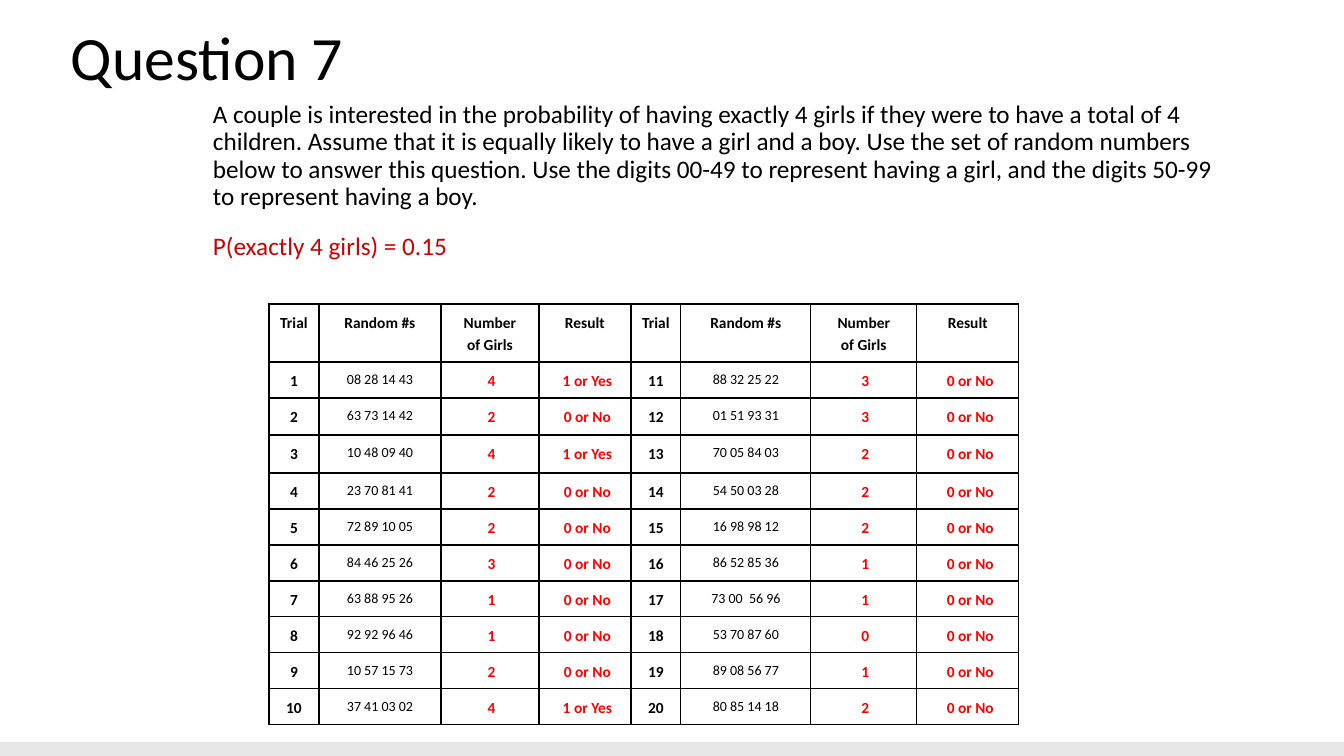
"""Build the Question 7 slide: simulated families of four children."""
from lxml.etree import SubElement
from pptx import Presentation
from pptx.dml.color import RGBColor
from pptx.enum.shapes import MSO_SHAPE
from pptx.enum.text import MSO_ANCHOR, PP_ALIGN
from pptx.oxml.ns import qn
from pptx.util import Pt

TITLE = "Question 7"
QUESTION = (
    "A couple is interested in the probability of having exactly 4 girls if they were "
    "to have a total of 4 children. Assume that it is equally likely to have a girl and "
    "a boy. Use the set of random numbers below to answer this question. Use the digits "
    "00-49 to represent having a girl, and the digits 50-99 to represent having a boy."
)
ANSWER = "P(exactly 4 girls) = 0.15"
HEADINGS = ["Trial", "Random #s", "Number\nof Girls", "Result"]
TRIALS = [
    ("08 28 14 43", 4), ("63 73 14 42", 2), ("10 48 09 40", 4), ("23 70 81 41", 2),
    ("72 89 10 05", 2), ("84 46 25 26", 3), ("63 88 95 26", 1), ("92 92 96 46", 1),
    ("10 57 15 73", 2), ("37 41 03 02", 4), ("88 32 25 22", 3), ("01 51 93 31", 3),
    ("70 05 84 03", 2), ("54 50 03 28", 2), ("16 98 98 12", 2), ("86 52 85 36", 1),
    ("73 00  56 96", 1), ("53 70 87 60", 0), ("89 08 56 77", 1), ("80 85 14 18", 2),
]
COLORS = {"ink": "000000", "answer": "CC0000", "result": "FF0000", "bar": "E7E6E6"}
FONT = "Calibri"
PX = 914400 / 100.8
SLIDE_W, SLIDE_H, BAR_H = 1344, 756, 14
TABLE_X, TABLE_Y = 269, 304
COL_W = [50, 122, 98, 92, 50, 130, 106, 102]
ROW_H = [58, 36, 37, 38] + [36] * 7
HALF = len(TRIALS) // 2
CELL_PAD = 7
COL_SHIFT = [0, 0, 3, 5]


def px(*lengths):
    return [round(n * PX) for n in lengths]


def write(tf, text, size=11, color="ink", bold=False, align=PP_ALIGN.LEFT,
          spacing=0.9, before=0, add=False):
    for i, line in enumerate(text.split("\n")):
        p = tf.add_paragraph() if add or i else tf.paragraphs[0]
        p.alignment, p.line_spacing, p.space_before = align, spacing, Pt(before)
        r = p.add_run()
        r.text = line
        r.font.name, r.font.size, r.font.bold = FONT, Pt(size), bold
        r.font.color.rgb = RGBColor.from_string(COLORS[color])


def text_box(s, x, y, w, h, anchor):
    tf = s.shapes.add_textbox(*px(x, y, w, h)).text_frame
    tf.word_wrap, tf.vertical_anchor = True, anchor
    tf.margin_left, tf.margin_top, tf.margin_right, tf.margin_bottom = px(10, 10, 10, 10)
    return tf


def add_borders(cell):
    tc_pr = cell._tc.get_or_add_tcPr()
    for side in "LRTB":
        ln = SubElement(tc_pr, qn(f"a:ln{side}"), w=str(Pt(1)))
        fill = SubElement(ln, qn("a:solidFill"))
        SubElement(fill, qn("a:srgbClr"), val=COLORS["ink"])


def trial_cells(n):
    digits, girls = TRIALS[n]
    return [str(n + 1), digits, str(girls), "1 or Yes" if girls == 4 else "0 or No"]


def add_trials(s):
    rows = [HEADINGS * 2] + [trial_cells(n) + trial_cells(n + HALF) for n in range(HALF)]
    box = px(TABLE_X, TABLE_Y, sum(COL_W), sum(ROW_H))
    table = s.shapes.add_table(len(rows), len(COL_W), *box).table
    table.first_row = table.horz_banding = False
    for column, w in zip(table.columns, px(*COL_W)):
        column.width = w
    for row, h in zip(table.rows, px(*ROW_H)):
        row.height = h
    for i, texts in enumerate(rows):
        for j, text in enumerate(texts):
            cell, kind = table.cell(i, j), j % len(HEADINGS)
            shift = COL_SHIFT[kind] if i else 0
            cell.margin_left, cell.margin_right = px(CELL_PAD + shift, CELL_PAD)
            cell.margin_top, cell.margin_bottom = px(CELL_PAD, CELL_PAD)
            add_borders(cell)
            cell.fill.background()
            digits = i > 0 and kind == 1
            write(cell.text_frame, text, size=10 if digits else 11, bold=not digits,
                  color="result" if i and kind > 1 else "ink",
                  align=PP_ALIGN.CENTER, spacing=1.15)


prs = Presentation()
prs.slide_width, prs.slide_height = px(SLIDE_W, SLIDE_H)
s = prs.slides.add_slide(prs.slide_layouts[6])

bar = s.shapes.add_shape(MSO_SHAPE.RECTANGLE, *px(0, SLIDE_H - BAR_H, SLIDE_W, BAR_H))
bar.shadow.inherit = False
bar.fill.solid()
bar.fill.fore_color.rgb = RGBColor.from_string(COLORS["bar"])
bar.line.fill.background()

write(text_box(s, 61, 18, 939, 84, MSO_ANCHOR.MIDDLE), TITLE, size=44)
body = text_box(s, 203, 92, 1044, 501, MSO_ANCHOR.TOP)
write(body, QUESTION, size=18)
write(body, ANSWER, size=18, color="answer", before=16, add=True)
add_trials(s)

prs.save("out.pptx")
